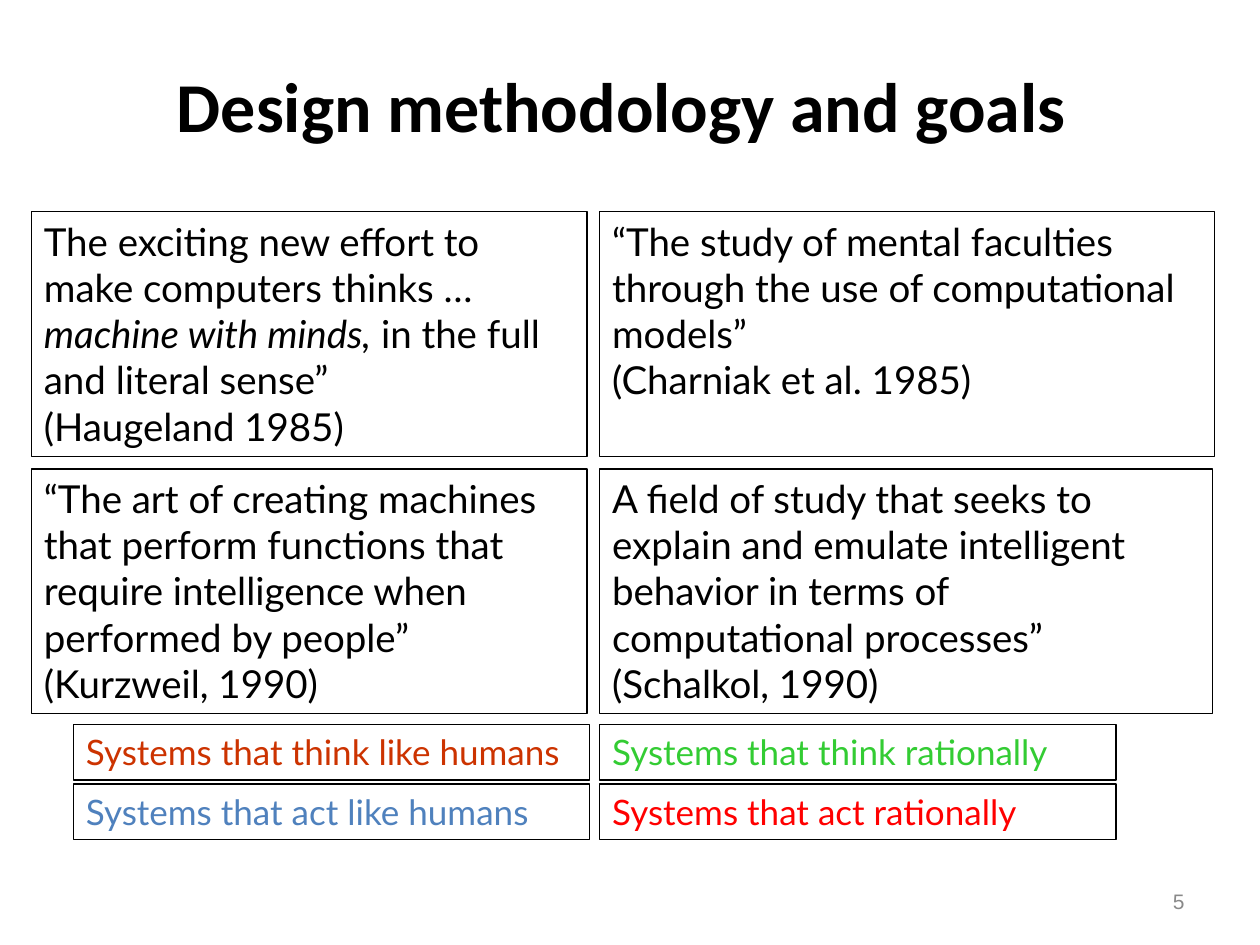
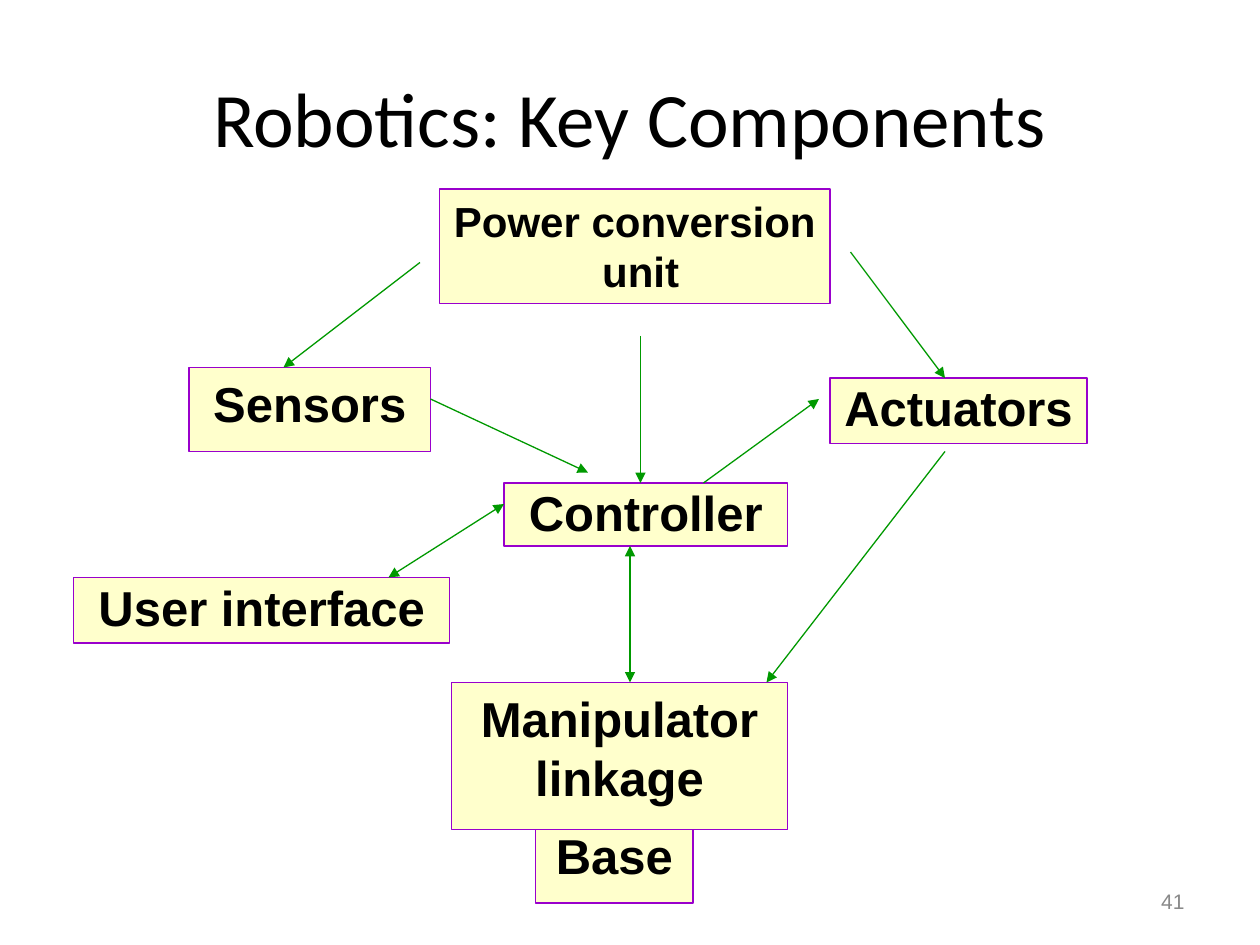
from lxml import etree
from pptx import Presentation
from pptx.dml.color import RGBColor
from pptx.enum.shapes import MSO_CONNECTOR, MSO_SHAPE
from pptx.enum.text import MSO_ANCHOR, MSO_AUTO_SIZE, PP_ALIGN
from pptx.oxml.ns import qn
from pptx.util import Pt

RECTANGLE = MSO_SHAPE.RECTANGLE
STRAIGHT = MSO_CONNECTOR.STRAIGHT
TOP, MIDDLE = MSO_ANCHOR.TOP, MSO_ANCHOR.MIDDLE
LEFT, CENTER, RIGHT = PP_ALIGN.LEFT, PP_ALIGN.CENTER, PP_ALIGN.RIGHT
FIXED, GROW = MSO_AUTO_SIZE.NONE, MSO_AUTO_SIZE.SHAPE_TO_FIT_TEXT

COLORS = {
    "text": "000000", "number": "898989",
    "component": "FFFFCC", "component_line": "9900CC", "arrow": "009900",
    "think_human": "CC3300", "think_rational": "33CC33",
    "act_human": "4F81BD", "act_rational": "FF0000",
}
LINE_WIDTH = 0.75
SECOND_COLUMN = 342.75

# left, top, width, text; *asterisks* mark italics
QUOTES = [
    (18, 121, 317.5, "The exciting new effort to make computers thinks … "
     "*machine with minds,* in the full and literal sense”\n(Haugeland 1985)"),
    (18, 268, 317.5, "“The art of creating machines that perform functions that "
     "require intelligence when performed by people” (Kurzweil, 1990)"),
    (SECOND_COLUMN, 121, 351.5, "“The study of mental faculties through the use of "
     "computational models”\n(Charniak et al. 1985)"),
    (SECOND_COLUMN, 268, 350, "A field of study that seeks to explain and emulate "
     "intelligent behavior in terms of computational processes” (Schalkol, 1990)"),
]
GOALS = [
    [("Systems that think like humans", "think_human"),
     ("Systems that think rationally", "think_rational")],
    [("Systems that act like humans", "act_human"),
     ("Systems that act rationally", "act_rational")],
]

# text, (left, top, width, height), size, line spacing, auto size, wrap
COMPONENTS = [
    ("Base", (306, 468, 90, 48), 28, 1, FIXED, True),
    ("Manipulator linkage", (258, 390, 192, 84), 28, 1, FIXED, True),
    ("Controller", (288, 276, 162, 36), 28, 0.9, FIXED, True),
    ("Sensors", (108, 210, 138, 48), 28, 1, FIXED, True),
    ("Actuators", (474.25, 216, 147, 37.5), 28, 0.9, GROW, False),
    ("User interface", (42, 330, 215, 37.5), 28, 0.9, GROW, True),
    ("Power conversion\n unit", (251.25, 108, 223, 65.5), 24, 1, GROW, False),
]
# start, end, whether both ends have a head
ARROWS = [
    ((246, 228), (336, 270), False),
    ((402, 276), (468, 228), False),
    ((288, 288), (222, 330), True),
    ((360, 390), (360, 312), True),
    ((240, 150), (162, 210), False),
    ((486, 144), (540, 216), False),
    ((366, 192), (366, 276), False),
    ((540, 258), (438, 390), False),
]


def color(name):
    return RGBColor.from_string(COLORS[name])


def write_text(shape, text, size, font, color_name="text", bold=False, align=LEFT,
               anchor=TOP, auto_size=FIXED, wrap=True, line_spacing=1):
    """Fill a shape with one paragraph per line; every second *-part is italic."""
    frame = shape.text_frame
    frame.text = text
    frame.word_wrap = wrap
    frame.auto_size = auto_size
    frame.vertical_anchor = anchor
    for para in frame.paragraphs:
        para.alignment = align
        para.line_spacing = line_spacing
        parts = para.text.split("*")
        para.text = parts[0]
        for part in parts[1:]:
            para.add_run().text = part
        for index, span in enumerate(para.runs):
            span.font.name = font
            span.font.size = Pt(size)
            span.font.bold = bold
            span.font.italic = index % 2 == 1
            span.font.color.rgb = color(color_name)


def add_label(page, place, text, size, font, **style):
    box = page.shapes.add_textbox(*map(Pt, place))
    write_text(box, text, size, font, anchor=MIDDLE, **style)


def add_title(page, text, left, top, size, bold=False):
    add_label(page, (left, top, 648, 90), text, size, "Calibri",
              bold=bold, align=CENTER)


def add_page_number(page, number):
    add_label(page, (516, 500.5, 168, 28.75), str(number), 12, "Arial",
              color_name="number", align=RIGHT)


def add_box(page, place, text, size, font, fill=None, line="text", **style):
    box = page.shapes.add_shape(RECTANGLE, *map(Pt, place))
    box.shadow.inherit = False
    if fill:
        box.fill.solid()
        box.fill.fore_color.rgb = color(fill)
    else:
        box.fill.background()
    box.line.color.rgb = color(line)
    box.line.width = Pt(LINE_WIDTH)
    write_text(box, text, size, font, **style)


def add_arrow(page, start, end, both_ends):
    arrow = page.shapes.add_connector(STRAIGHT, *map(Pt, start + end))
    arrow.line.color.rgb = color("arrow")
    arrow.line.width = Pt(LINE_WIDTH)
    line = arrow.line._get_or_add_ln()
    for tag in ("a:headEnd", "a:tailEnd") if both_ends else ("a:tailEnd",):
        etree.SubElement(line, qn(tag), type="triangle")
    etree.SubElement(arrow._element.spPr, qn("a:effectLst"))


def build_goals(page):
    add_title(page, "Design methodology and goals", 31, 15, 40, bold=True)
    for left, top, width, text in QUOTES:
        add_box(page, (left, top, width, 139.75), text, 22, "Lato", auto_size=GROW)
    for row, goals in enumerate(GOALS):
        for left, (text, color_name) in zip((42, SECOND_COLUMN), goals):
            add_box(page, (left, 414 + 34 * row, 295, 31.75), text, 20, "Lato",
                    color_name=color_name, auto_size=GROW)
    add_page_number(page, 5)


def build_components(page):
    for text, place, size, spacing, auto_size, wrap in COMPONENTS:
        add_box(page, place, text, size, "Arial", fill="component",
                line="component_line", bold=True, align=CENTER,
                auto_size=auto_size, wrap=wrap, line_spacing=spacing)
    for start, end, both_ends in ARROWS:
        add_arrow(page, start, end, both_ends)
    add_title(page, "Robotics: Key Components", 36, 21.75, 44)
    add_page_number(page, 41)


def main():
    deck = Presentation()
    deck.slide_width, deck.slide_height = Pt(720), Pt(540)
    blank = deck.slide_layouts[6]
    for build in (build_goals, build_components):
        build(deck.slides.add_slide(blank))
    deck.save("out.pptx")


if __name__ == "__main__":
    main()
